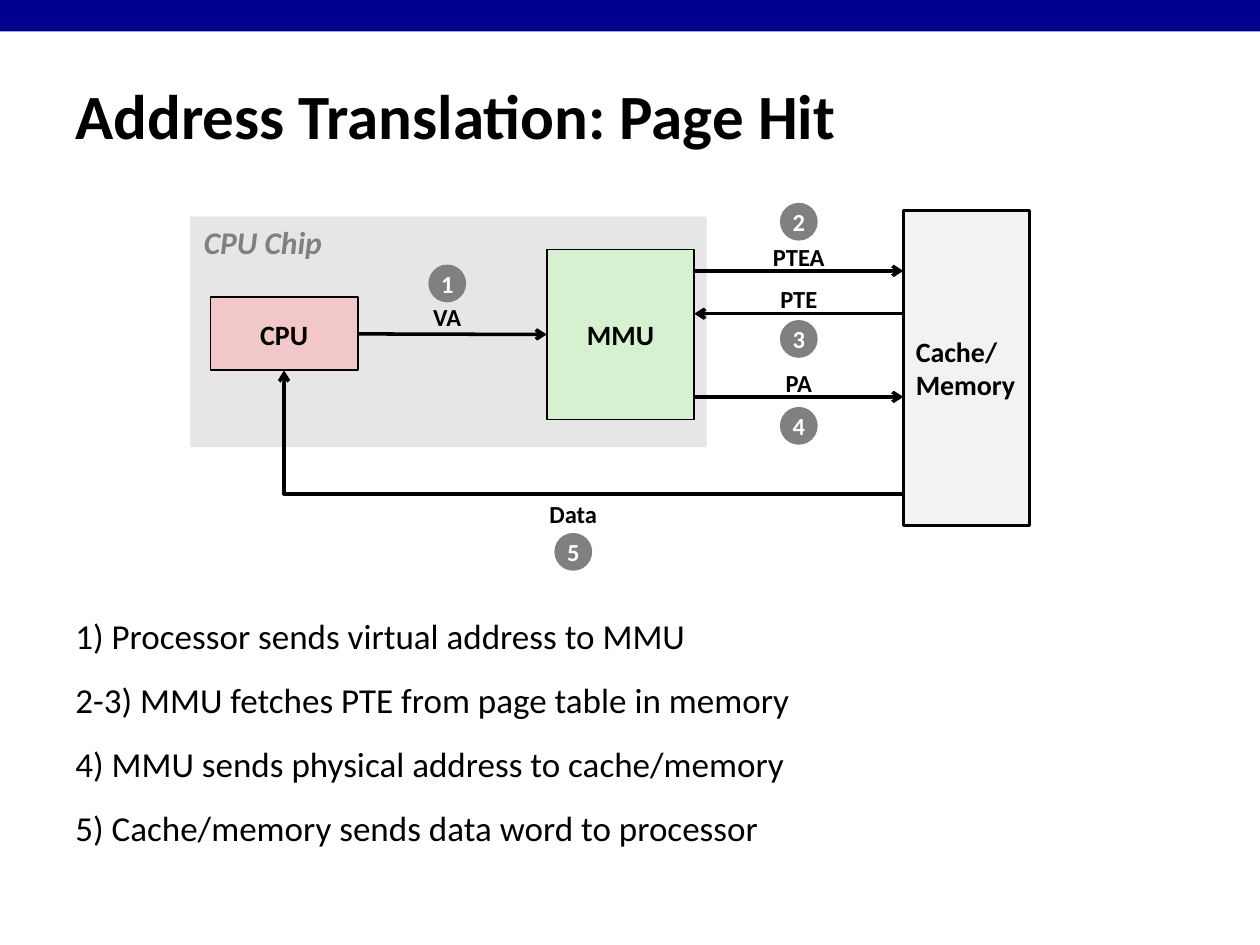
from lxml import etree
from pptx import Presentation
from pptx.dml.color import RGBColor
from pptx.enum import shapes, text
from pptx.oxml.ns import qn
from pptx.util import Inches, Pt

NAVY = RGBColor(0x00, 0x00, 0x90)
BLACK = RGBColor(0x00, 0x00, 0x00)
WHITE = RGBColor(0xFF, 0xFF, 0xFF)
GRAY = RGBColor(0x80, 0x80, 0x80)
CHIP = RGBColor(0xE6, 0xE6, 0xE6)
PALE = RGBColor(0xF2, 0xF2, 0xF2)
GREEN = RGBColor(0xD5, 0xF1, 0xCF)
PINK = RGBColor(0xF1, 0xC7, 0xC7)

RECT = shapes.MSO_SHAPE.RECTANGLE
OVAL = shapes.MSO_SHAPE.OVAL
STRAIGHT = shapes.MSO_CONNECTOR.STRAIGHT
ELBOW = shapes.MSO_CONNECTOR.ELBOW
LEFT, CENTER = text.PP_ALIGN.LEFT, text.PP_ALIGN.CENTER
TOP, MIDDLE = text.MSO_ANCHOR.TOP, text.MSO_ANCHOR.MIDDLE


def write(sp, lines, size, color=BLACK, bold=True, italic=False,
          align=CENTER, anchor=MIDDLE, wrap=False, gap=0):
    tf = sp.text_frame
    tf.word_wrap = wrap
    tf.vertical_anchor = anchor
    for i, line in enumerate(lines):
        p = tf.paragraphs[0] if i == 0 else tf.add_paragraph()
        p.text = line
        p.alignment = align
        if i:
            p.space_before = Pt(gap)
        font = p.font
        font.name, font.size, font.color.rgb = "Calibri", Pt(size), color
        font.bold, font.italic = bold, italic


def add_box(slide, kind, x, y, w, h, fill, line=None):
    sp = slide.shapes.add_shape(kind, Inches(x), Inches(y), Inches(w), Inches(h))
    sp.shadow.inherit = False
    sp.fill.solid()
    sp.fill.fore_color.rgb = fill
    if line:
        sp.line.color.rgb = BLACK
        sp.line.width = Pt(line)
    else:
        sp.line.fill.background()
    return sp


def add_text(slide, x, y, w, h, lines, size, **style):
    sp = slide.shapes.add_textbox(Inches(x), Inches(y), Inches(w), Inches(h))
    write(sp, lines, size, **style)


def add_arrow(slide, kind, x1, y1, x2, y2):
    c = slide.shapes.add_connector(kind, Inches(x1), Inches(y1), Inches(x2), Inches(y2))
    c.line.color.rgb = BLACK
    c.line.width = Pt(2)
    etree.SubElement(c.line._get_or_add_ln(), qn("a:tailEnd"), type="arrow")
    etree.SubElement(c._element.spPr, qn("a:effectLst"))
    return c


def add_step(slide, number, label, cx, label_y, badge_y):
    add_text(slide, cx - 0.4, label_y, 0.8, 0.33, [label], 14)
    badge = add_box(slide, OVAL, cx - 0.15, badge_y, 0.3, 0.3, GRAY)
    write(badge, [number], 14, color=WHITE)


def add_diagram(slide, x, y):
    add_box(slide, RECT, x + 0.01, y + 0.12, 4.1, 1.83, CHIP)
    add_text(slide, x + 0.02, y + 0.12, 1.16, 0.4, ["CPU Chip"], 18,
             color=GRAY, italic=True, align=LEFT, anchor=TOP)
    mmu = add_box(slide, RECT, x + 2.84, y + 0.38, 1.17, 1.35, GREEN, 1)
    write(mmu, ["MMU"], 16)
    memory = add_box(slide, RECT, x + 5.67, y + 0.07, 1, 2.5, PALE, 1.5)
    write(memory, ["Cache/", "Memory"], 16, align=LEFT)
    cpu = add_box(slide, RECT, x + 0.17, y + 0.76, 1.17, 0.58, PINK, 1)
    write(cpu, ["CPU"], 16)

    va = add_arrow(slide, STRAIGHT, x + 1.34, y + 1.05, x + 2.84, y + 1.05)
    va.begin_connect(cpu, 3)
    va.end_connect(mmu, 1)
    add_step(slide, "1", "VA", x + 2.05, y + 0.75, y + 0.5)

    mmu_x, memory_x = x + 4.01, x + 5.67
    for number, label, start, end, line_y, badge_y in [
        ("2", "PTEA", mmu_x, memory_x, 0.55, 0.01),
        ("3", "PTE", memory_x, mmu_x, 0.89, 0.94),
        ("4", "PA", mmu_x, memory_x, 1.55, 1.63),
    ]:
        add_arrow(slide, STRAIGHT, start, y + line_y, end, y + line_y)
        add_step(slide, number, label, x + 4.84, y + line_y - 0.28, y + badge_y)

    data = add_arrow(slide, ELBOW, memory_x, y + 2.32, x + 0.75, y + 1.34)
    data._element.spPr.find(qn("a:prstGeom")).set("prst", "bentConnector2")
    data.end_connect(cpu, 2)
    add_step(slide, "5", "Data", x + 3.05, y + 2.31, y + 2.63)


def add_header(slide, x, y, w):
    add_box(slide, RECT, x, y, w, 0.25, NAVY)
    add_text(slide, x + 0.5, y + 0.48, w - 1.08, 0.86,
             ["Address Translation: Page Hit"], 36, align=LEFT, wrap=True)


def add_steps_list(slide, x, y, w, h):
    add_text(slide, x, y, w, h, [
        "1) Processor sends virtual address to MMU",
        "2-3) MMU fetches PTE from page table in memory",
        "4) MMU sends physical address to cache/memory",
        "5) Cache/memory sends data word to processor",
    ], 20, bold=False, align=LEFT, anchor=TOP, wrap=True, gap=12.5)


def main():
    prs = Presentation()
    prs.slide_width, prs.slide_height = Inches(10), Inches(7.5)
    slide = prs.slides.add_slide(prs.slide_layouts[6])
    add_header(slide, 0, 0, 10)
    add_diagram(slide, 1.5, 1.6)
    add_steps_list(slide, 0.5, 4.83, 7.42, 2.25)
    prs.save("out.pptx")


if __name__ == "__main__":
    main()
